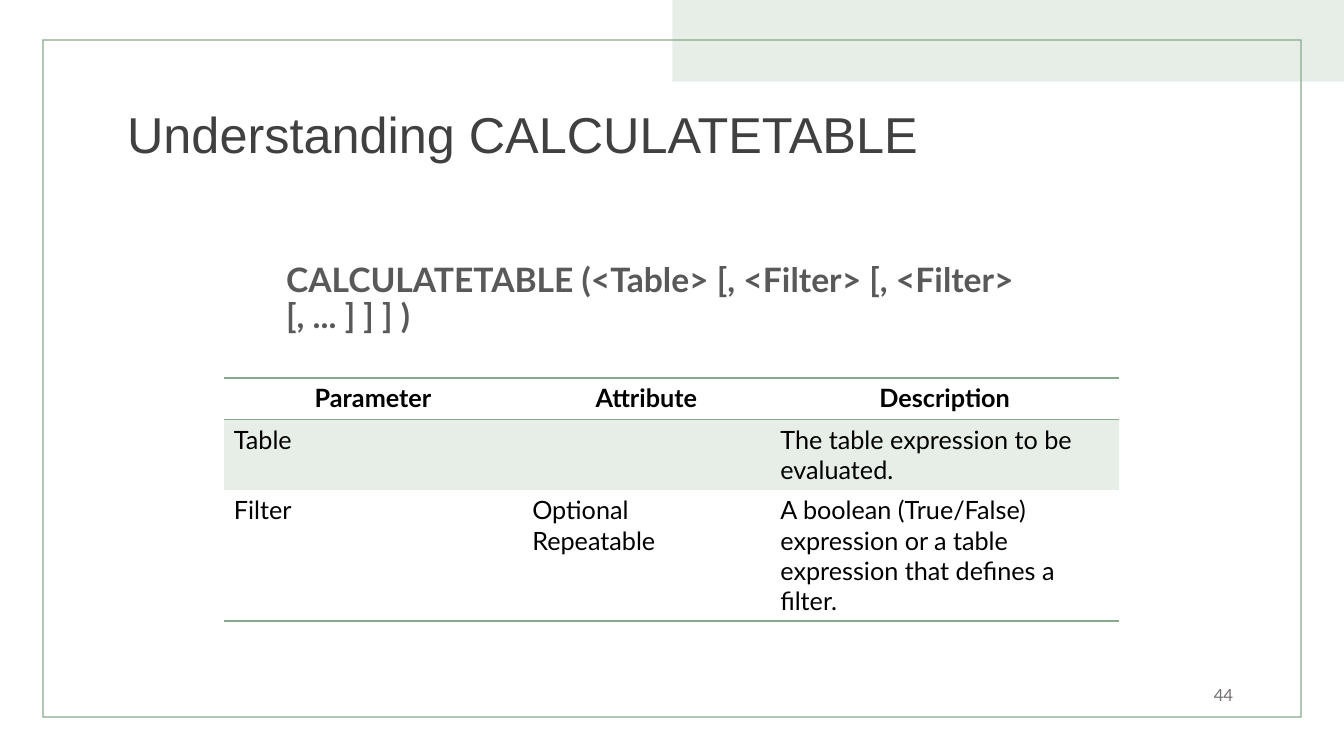
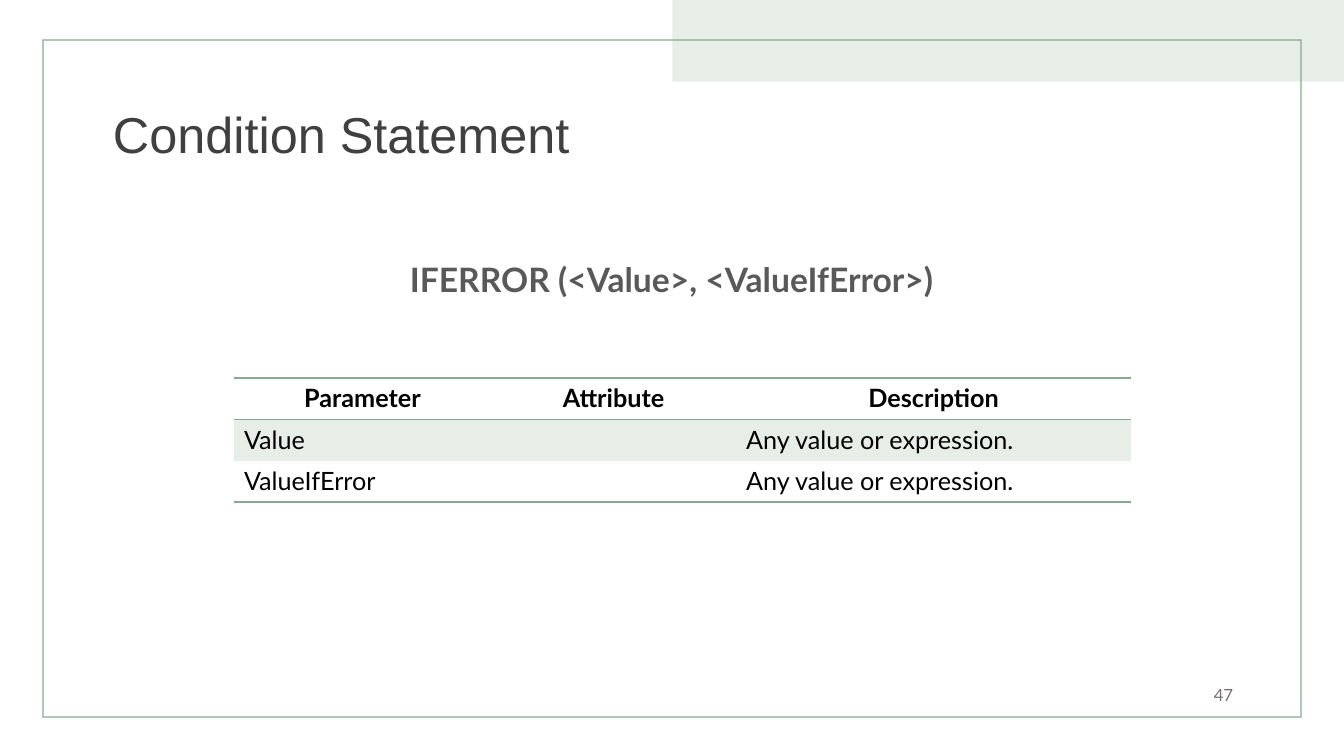
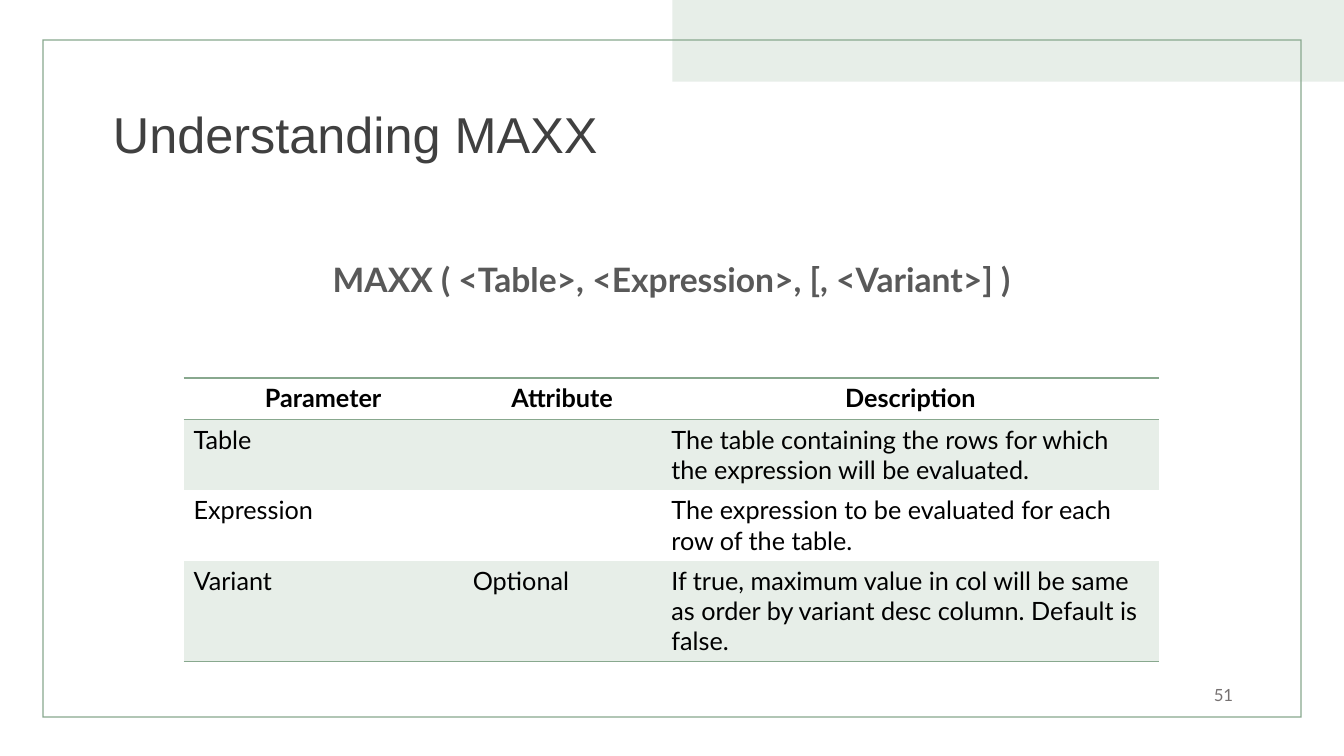
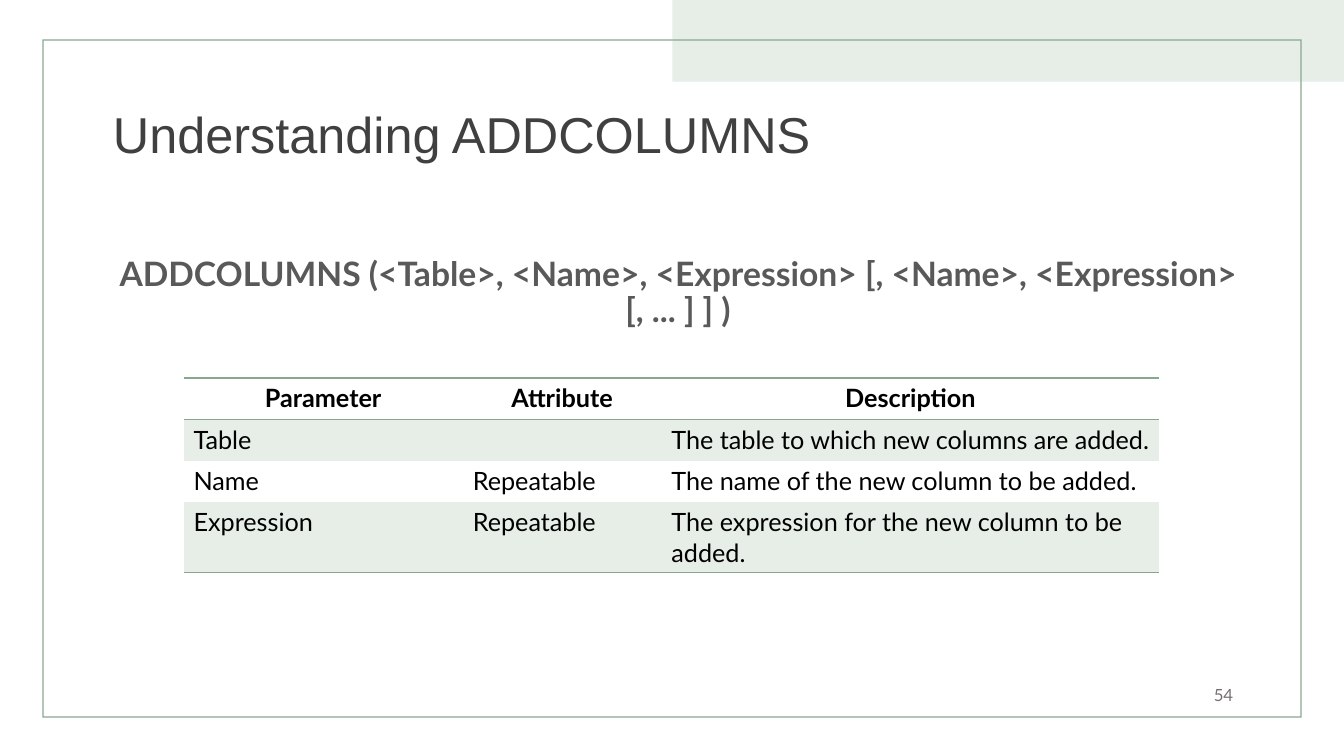
import pptx
import pptx.dml.color
import pptx.enum.shapes
import pptx.enum.text
import pptx.oxml
import pptx.oxml.ns
import pptx.util

Inches = pptx.util.Inches
ALIGN = pptx.enum.text.PP_ALIGN
ANCHOR = pptx.enum.text.MSO_ANCHOR
SHAPE = pptx.enum.shapes.MSO_SHAPE

COLORS = {
    "sage": "88A88E",
    "pale": "E7EEE8",
    "title": "404040",
    "syntax": "595959",
    "number": "767171",
    "cell": "000000",
}
NO_STYLE_NO_GRID = "{2D5ABB26-0587-4C30-8999-92F81FD0307C}"
HEADINGS = ("Parameter", "Attribute", "Description")
ROW_HEIGHT = 0.41
TABLE_TOP = 3.75


def rgb(color):
    return pptx.dml.color.RGBColor.from_string(COLORS[color])


def write(frame, text, size=18, color="cell", font="Lato", bold=False,
          align=ALIGN.LEFT, anchor=ANCHOR.TOP, spacing=1.0):
    """Fill a text frame, with one paragraph for each line of text."""
    frame.word_wrap = True
    frame.vertical_anchor = anchor
    for index, line in enumerate(text.split("\n")):
        paragraph = frame.paragraphs[0] if index == 0 else frame.add_paragraph()
        paragraph.alignment = align
        paragraph.line_spacing = spacing
        run = paragraph.add_run()
        run.text = line
        run.font.size = pptx.util.Pt(size)
        run.font.name = font
        run.font.bold = bold
        run.font.color.rgb = rgb(color)


def add_rule(cell, side):
    """Draw a one-point sage border; side is lnT or lnB."""
    rule = pptx.oxml.parse_xml(
        f'<a:{side} {pptx.oxml.ns.nsdecls("a")} w="12700"><a:solidFill>'
        f'<a:srgbClr val="{COLORS["sage"]}"/></a:solidFill></a:{side}>')
    cell.fill  # makes sure that the cell has properties
    cell._tc.get_or_add_tcPr().insert(0, rule)


class Deck:
    def __init__(self):
        self.presentation = pptx.Presentation()
        self.presentation.slide_width = Inches(13.33)
        self.presentation.slide_height = Inches(7.5)
        self.layout = self.presentation.slide_layouts[5]
        self.slide = None

    def new_slide(self, title, number, indent=0.1):
        first = self.slide is None
        self.slide = self.presentation.slides.add_slide(self.layout)
        if first:
            self.decorate_layout()
        heading = self.slide.shapes.title
        heading.left, heading.top = Inches(1.02), Inches(0.53)
        heading.width, heading.height = Inches(11.5), Inches(1.67)
        heading.text_frame.auto_size = pptx.enum.text.MSO_AUTO_SIZE.NONE
        heading.text_frame.margin_left = Inches(indent)
        write(heading.text_frame, title, size=36, color="title", font="Arial",
              anchor=ANCHOR.MIDDLE, spacing=0.9)
        self.text(str(number), 9.33, 6.69, 3, 0.4, size=12, color="number",
                  align=ALIGN.RIGHT, anchor=ANCHOR.MIDDLE)

    def decorate_layout(self):
        """Put the corner band and the thin frame on the shared layout."""
        band = self.shape(SHAPE.RECTANGLE, 6.67, 0, 6.67, 0.81, "pale")
        border = self.shape(SHAPE.FRAME, 0.42, 0.39, 12.49, 6.73, "sage")
        border.adjustments[0] = 0.002
        for decoration in (band, border):
            self.layout.shapes.element.append(decoration.element)

    def shape(self, kind, left, top, width, height, color):
        shape = self.slide.shapes.add_shape(
            kind, Inches(left), Inches(top), Inches(width), Inches(height))
        shape.shadow.inherit = False
        shape.fill.solid()
        shape.fill.fore_color.rgb = rgb(color)
        shape.line.fill.background()
        return shape

    def text(self, text, left, top, width, height, **style):
        box = self.slide.shapes.add_textbox(
            Inches(left), Inches(top), Inches(width), Inches(height))
        write(box.text_frame, text, **style)

    def syntax(self, text, left=2.74, top=2.56, width=7.84, align=ALIGN.CENTER):
        self.text(text, left, top, width, 0.48, size=24, color="syntax",
                  bold=True, align=align, spacing=0.9)

    def parameters(self, rows, left, widths):
        """Add the parameter table: ruled header, every other row shaded."""
        rows = [HEADINGS, *rows]
        frame = self.slide.shapes.add_table(
            len(rows), len(widths), Inches(left), Inches(TABLE_TOP),
            Inches(sum(widths)), Inches(ROW_HEIGHT * len(rows)))
        table = frame.table
        for style in frame.element.iter(pptx.oxml.ns.qn("a:tableStyleId")):
            style.text = NO_STYLE_NO_GRID
        for column, width in zip(table.columns, widths):
            column.width = Inches(width)
        for r, row in enumerate(rows):
            header = r == 0
            table.rows[r].height = Inches(ROW_HEIGHT)
            for c, text in enumerate(row):
                cell = table.cell(r, c)
                if r % 2:
                    cell.fill.solid()
                    cell.fill.fore_color.rgb = rgb("pale")
                else:
                    cell.fill.background()
                if header or r == len(rows) - 1:
                    add_rule(cell, "lnB")
                if header:
                    add_rule(cell, "lnT")
                if text:
                    write(cell.text_frame, text, bold=header,
                          align=ALIGN.CENTER if header else ALIGN.LEFT)


def main():
    deck = Deck()
    wide_table = {"left": 1.82, "widths": (2.77, 1.97, 4.94)}

    deck.new_slide("Understanding CALCULATETABLE", 44, indent=0.24)
    deck.syntax("CALCULATETABLE (<Table> [, <Filter> [, <Filter> [, ... ] ] ] )",
                align=ALIGN.LEFT)
    deck.parameters([
        ("Table", "", "The table expression to be evaluated."),
        ("Filter", "Optional\nRepeatable",
         "A boolean (True/False) expression or a table expression that "
         "defines a filter."),
    ], left=2.22, widths=(2.96, 2.46, 3.46))

    deck.new_slide("Condition Statement", 47)
    deck.syntax("IFERROR (<Value>, <ValueIfError>)")
    deck.parameters([
        ("Value", "", "Any value or expression."),
        ("ValueIfError", "", "Any value or expression."),
    ], left=2.32, widths=(2.55, 2.43, 3.92))

    deck.new_slide("Understanding MAXX", 51)
    deck.syntax("MAXX ( <Table>, <Expression>, [, <Variant>] )")
    deck.parameters([
        ("Table", "", "The table containing the rows for which the expression "
         "will be evaluated."),
        ("Expression", "",
         "The expression to be evaluated for each row of the table."),
        ("Variant", "Optional",
         "If true, maximum value in col will be same as order by variant desc "
         "column. Default is false."),
    ], **wide_table)

    deck.new_slide("Understanding ADDCOLUMNS", 54)
    deck.syntax("ADDCOLUMNS (<Table>, <Name>, <Expression> "
                "[, <Name>, <Expression> [, ... ] ] )",
                left=1.02, top=2.5, width=11.41)
    deck.parameters([
        ("Table", "", "The table to which new columns are added."),
        ("Name", "Repeatable", "The name of the new column to be added."),
        ("Expression", "Repeatable",
         "The expression for the new column to be added."),
    ], **wide_table)

    deck.presentation.save("out.pptx")


if __name__ == "__main__":
    main()
